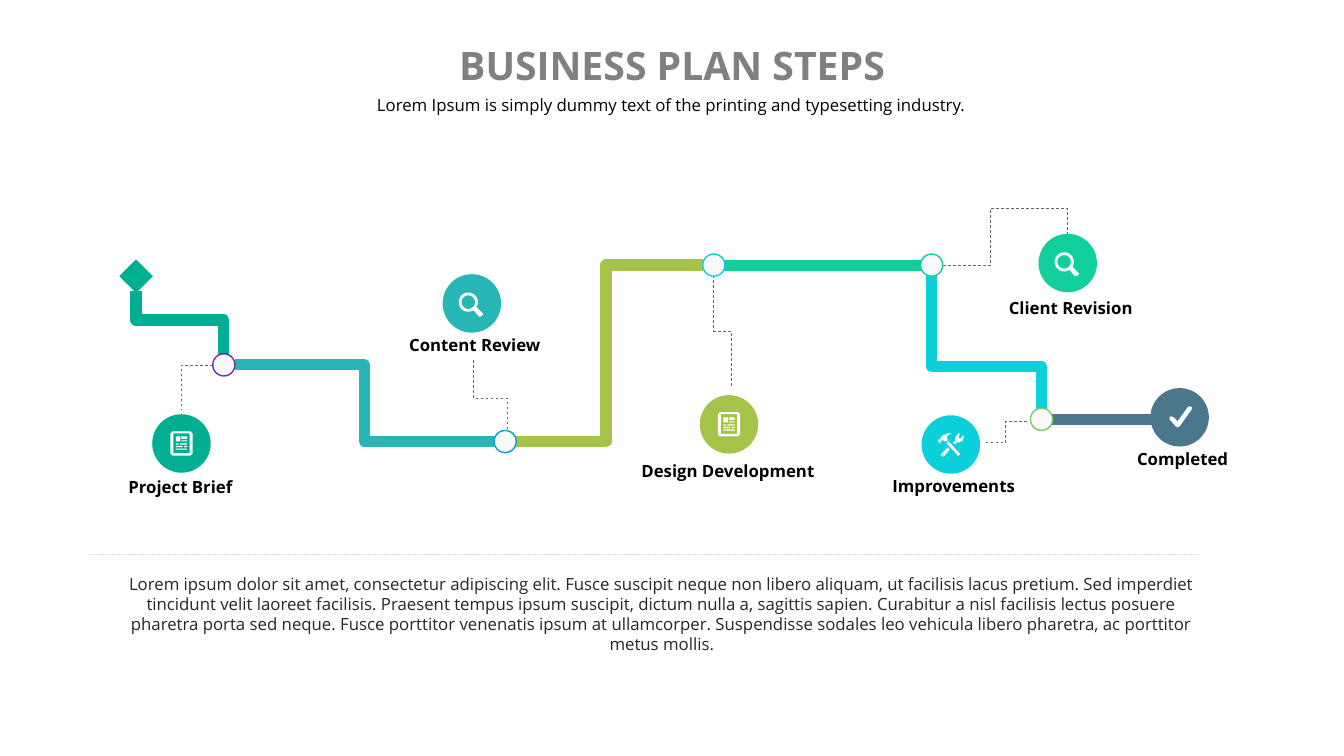
from dataclasses import dataclass
from math import cos, radians, sin

from lxml import etree
from pptx import Presentation
from pptx.dml.color import RGBColor
from pptx.enum.dml import MSO_LINE
from pptx.enum.shapes import MSO_CONNECTOR, MSO_SHAPE
from pptx.enum.text import MSO_ANCHOR, PP_ALIGN
from pptx.oxml.ns import qn
from pptx.util import Inches, Pt

ELBOW, STRAIGHT = MSO_CONNECTOR.ELBOW, MSO_CONNECTOR.STRAIGHT
DASH, DOTS = MSO_LINE.DASH, MSO_LINE.ROUND_DOT
OVAL = MSO_SHAPE.OVAL
CENTER = PP_ALIGN.CENTER
TOP, MIDDLE = MSO_ANCHOR.TOP, MSO_ANCHOR.MIDDLE
FONT = "Open Sans"
STEP_SIZE, NODE_SIZE, LABEL_HEIGHT = 0.58, 0.22, 0.45
COLORS = {
    "green": "00AF91", "teal": "28B5B5", "olive": "A5C249", "mint": "10CF9B",
    "cyan": "0BD0D9", "slate": "4B778D", "lime": "7CCA62", "blue": "009DD9",
    "purple": "7030A0", "node": "F9F9F9", "white": "FFFFFF", "black": "000000",
    "title": "808080", "body": "262626", "leader": "666666", "divider": "D9D9D9",
}
Point = tuple[float, float]
Contour = list[Point]


@dataclass
class Route:
    start: Point
    end: Point
    color: str = "leader"
    width: float = 0.5
    dash: MSO_LINE | None = None
    kind: MSO_CONNECTOR = ELBOW
    preset: str = ""
    adjust: tuple[int, ...] = ()
    downward: bool = False
    head: str = ""


@dataclass
class Step:
    label: str
    center: Point
    color: str
    icon: list[Contour]
    label_center: float
    label_top: float
    label_width: float = 1.6


@dataclass
class Node:
    center: Point
    color: str


def bar(left: float, top: float, right: float, bottom: float) -> Contour:
    return [(left, top), (right, top), (right, bottom), (left, bottom)]


def arc(radius: float, first: int, last: int) -> Contour:
    return [(radius * cos(radians(angle)) - 3.5, radius * sin(radians(angle)) - 1.25)
            for angle in range(first, last, 6)]


DOCUMENT = [
    [(-9, -12), (9, -12), (11, -10), (11, 10), (9, 12), (-9, 12), (-11, 10), (-11, -10)],
    bar(-8, -10, 8, 9.5), bar(-5.5, -7, -1, -2), bar(0, -7, 5.5, -4.5), bar(0, -3, 5.5, -2),
    bar(-5.5, 0, -3, 1.2), bar(-1.5, 0, 5.5, 1.2), bar(-5.5, 2.5, 1, 3.7),
    bar(2.5, 2.5, 5.5, 3.7), bar(-5.5, 5, 5.5, 6.2),
]
MAGNIFIER = [
    arc(9.5, 57, 394) + [(5, 4), (11, 10), (11, 11), (9, 13), (7, 13), (2, 7)],
    arc(6.7, 0, 360),
]
TOOLS = [
    [(-9, -4), (-7.5, -4.5), (-6, -3), (-5, -3), (-3, -4), (-3, -5), (-4, -6), (-3, -9),
     (1, -11), (-3, -11), (-8, -9), (-10, -7), (-10, -5), (-12, -5), (-13, -4),
     (-11, -2), (-11, -1), (-10, -2)],
    [(-2, -3), (-4, -2), (-4, -1), (7, 11), (8, 11), (9, 10), (9, 9)],
    [(13, -8), (12, -9), (11, -7), (10, -6), (8, -6), (8, -8), (9, -11), (8, -11), (5, -8),
     (4, -3), (2, -2), (4, 0), (6, -2), (8, -2), (12, -4)],
    [(-10, 10), (-8, 12), (-7, 12), (-1, 5), (-3, 3)],
]
CHECK = [[(-2, 10), (-4, 9), (-10, 2), (-10, 0), (-9, -1), (-6, 0), (-2, 4), (8, -10),
          (10, -11), (12, -10), (12, -8), (0, 9)]]

LEADERS = [
    Route((2.11, 3.62), (1.8, 4.06), dash=DASH, preset="bentConnector2"),
    Route((4.7, 3.57), (5.03, 4.33), dash=DASH, downward=True),
    Route((7.08, 2.73), (7.25, 3.84), dash=DASH, downward=True),
    Route((9.35, 2.63), (10.59, 2.32), dash=DASH, preset="bentConnector4",
          adjust=(38200, 180900)),
    Route((10.19, 4.18), (9.76, 4.39), dash=DASH),
]
DIVIDER = Route((11.89, 5.5), (0.88, 5.5), "divider", dash=DOTS, kind=STRAIGHT)
TRACK = [
    Route((10.33, 4.16), (11.65, 4.16), "slate", 8, kind=STRAIGHT),
    Route((9.24, 2.63), (10.33, 4.16), "cyan", 8, adjust=(66000,), downward=True),
    Route((7.09, 2.63), (9.24, 2.63), "mint", 8, kind=STRAIGHT),
    Route((5.05, 4.38), (6.97, 2.63), "olive", 8),
    Route((2.33, 3.62), (4.9, 4.38), "teal", 8),
    Route((1.35, 2.74), (2.22, 3.61), "green", 8, downward=True, head="diamond"),
]
STEPS = [
    Step("Project Brief", (1.8, 4.4), "green", DOCUMENT, 1.79, 4.68),
    Step("Content Review", (4.68, 3.01), "teal", MAGNIFIER, 4.71, 3.27),
    Step("Design Development", (7.23, 4.21), "olive", DOCUMENT, 7.22, 4.52, 2.13),
    Step("Client Revision", (10.59, 2.61), "mint", MAGNIFIER, 10.62, 2.9),
    Step("Improvements", (9.43, 4.41), "cyan", TOOLS, 9.46, 4.67),
    Step("Completed", (11.7, 4.14), "slate", CHECK, 11.73, 4.4),
]
NODES = [
    Node((2.22, 3.62), "purple"), Node((5.01, 4.38), "blue"), Node((7.08, 2.63), "cyan"),
    Node((9.24, 2.63), "mint"), Node((10.33, 4.16), "lime"),
]
BODY = (
    "Lorem ipsum dolor sit amet, consectetur adipiscing elit. Fusce suscipit neque non libero "
    "aliquam, ut facilisis lacus pretium. Sed imperdiet tincidunt velit laoreet facilisis. "
    "Praesent tempus ipsum suscipit, dictum nulla a, sagittis sapien. Curabitur a nisl facilisis "
    "lectus posuere pharetra porta sed neque. Fusce porttitor venenatis ipsum at ullamcorper. "
    "Suspendisse sodales leo vehicula libero pharetra, ac porttitor metus mollis."
)

deck = Presentation()
deck.slide_width, deck.slide_height = Inches(13.33), Inches(7.5)
page = deck.slides.add_slide(deck.slide_layouts[6])


def rgb(name: str) -> RGBColor:
    return RGBColor.from_string(COLORS[name])


def add_text(text: str, *, left: float, top: float, width: float, height: float,
             size: int = 12, color: str = "black", bold: bool = False,
             anchor: MSO_ANCHOR = TOP) -> None:
    box = page.shapes.add_textbox(Inches(left), Inches(top), Inches(width), Inches(height))
    frame = box.text_frame
    frame.word_wrap, frame.vertical_anchor = True, anchor
    para = frame.paragraphs[0]
    para.alignment = CENTER
    span = para.add_run()
    span.text = text
    span.font.name, span.font.size, span.font.bold = FONT, Pt(size), bold
    span.font.color.rgb = rgb(color)


def add_route(route: Route) -> None:
    (x1, y1), (x2, y2) = route.start, route.end
    if route.downward:
        middle_x, middle_y = (x1 + x2) / 2, (y1 + y2) / 2
        half_width, half_height = (y2 - y1) / 2, (x2 - x1) / 2
        x1, x2 = middle_x + half_width, middle_x - half_width
        y1, y2 = middle_y - half_height, middle_y + half_height
    line = page.shapes.add_connector(route.kind, Inches(x1), Inches(y1), Inches(x2), Inches(y2))
    line.line.color.rgb = rgb(route.color)
    line.line.width = Pt(route.width)
    if route.dash:
        line.line.dash_style = route.dash
    properties = line._element.spPr
    if route.downward:
        properties.find(qn("a:xfrm")).set("rot", "16200000")
    geometry = properties.find(qn("a:prstGeom"))
    if route.preset:
        geometry.set("prst", route.preset)
    for index, value in enumerate(route.adjust, 1):
        etree.SubElement(geometry.find(qn("a:avLst")), qn("a:gd"),
                         name=f"adj{index}", fmla=f"val {value}")
    if route.head:
        etree.SubElement(properties.find(qn("a:ln")), qn("a:headEnd"), type=route.head)
    etree.SubElement(properties, qn("a:effectLst"))


def add_circle(center: Point, size: float, fill: str, outline: str = "") -> None:
    left, top = (Inches(value - size / 2) for value in center)
    circle = page.shapes.add_shape(OVAL, left, top, Inches(size), Inches(size))
    circle.shadow.inherit = False
    circle.fill.solid()
    circle.fill.fore_color.rgb = rgb(fill)
    if outline:
        circle.line.color.rgb = rgb(outline)
        circle.line.width = Pt(1)
    else:
        circle.line.fill.background()


def add_icon(contours: list[Contour], center: Point) -> None:
    placed = [[(Inches(center[0] + x / 100), Inches(center[1] + y / 100)) for x, y in contour]
              for contour in contours]
    builder = page.shapes.build_freeform(*placed[0][0])
    for contour in placed:
        builder.move_to(*contour[0])
        builder.add_line_segments(contour[1:], close=True)
    icon = builder.convert_to_shape()
    icon.shadow.inherit = False
    icon.fill.solid()
    icon.fill.fore_color.rgb = rgb("white")
    icon.line.fill.background()


def add_step(step: Step) -> None:
    add_circle(step.center, STEP_SIZE, step.color)
    add_icon(step.icon, step.center)
    add_text(step.label, left=step.label_center - step.label_width / 2, top=step.label_top,
             width=step.label_width, height=LABEL_HEIGHT, bold=True)


for path_route in [*LEADERS, DIVIDER, *TRACK]:
    add_route(path_route)
for plan_step in STEPS:
    add_step(plan_step)
for node in NODES:
    add_circle(node.center, NODE_SIZE, "node", node.color)
add_text(BODY, left=1.13, top=5.64, width=10.87, height=1.18, color="body")
add_text("BUSINESS PLAN STEPS", left=2.71, top=0.4, width=7.91, height=0.49,
         size=28, color="title", bold=True, anchor=MIDDLE)
add_text("Lorem Ipsum is simply dummy text of the printing and typesetting industry.",
         left=3.29, top=0.89, width=6.74, height=0.3)
deck.save("out.pptx")
